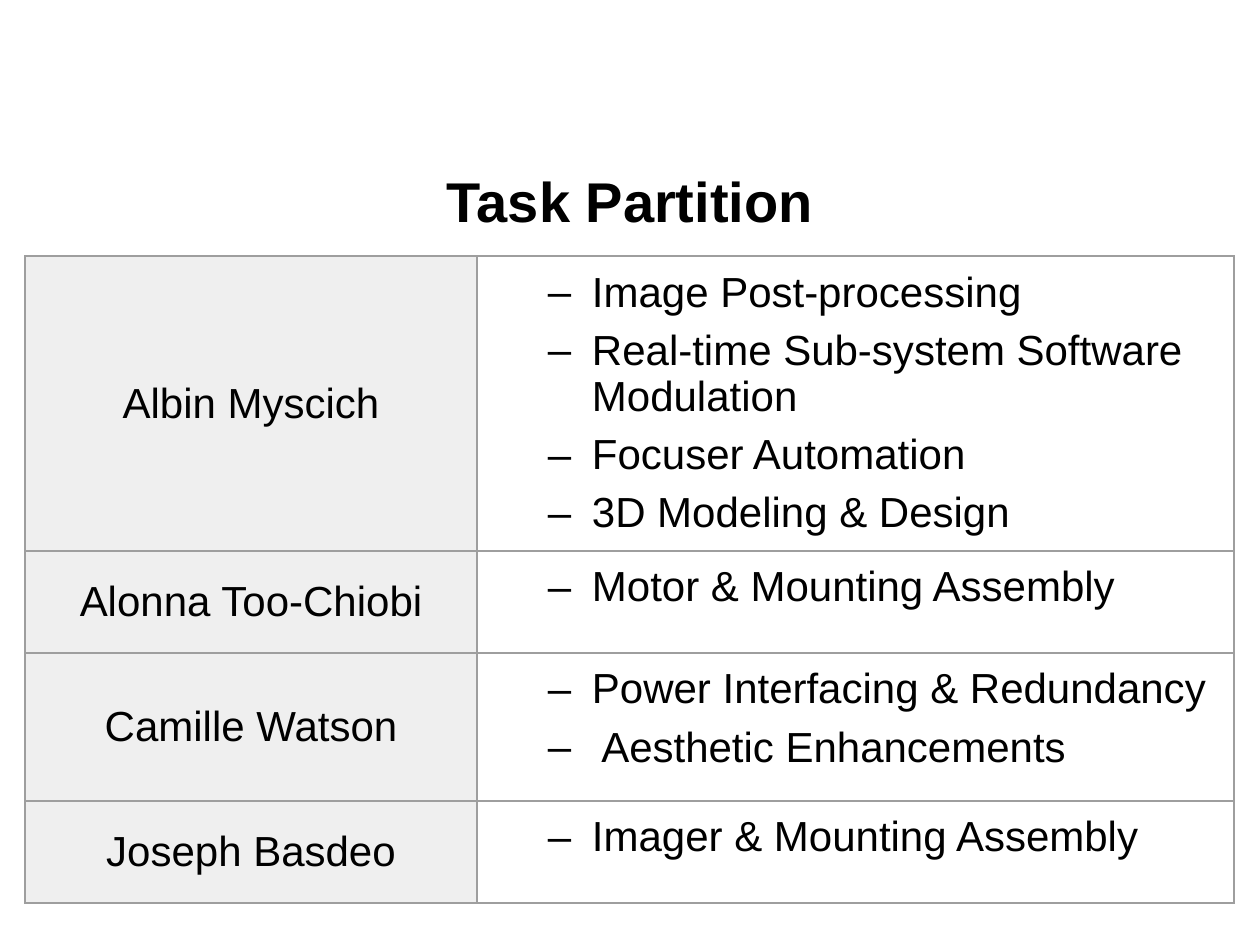
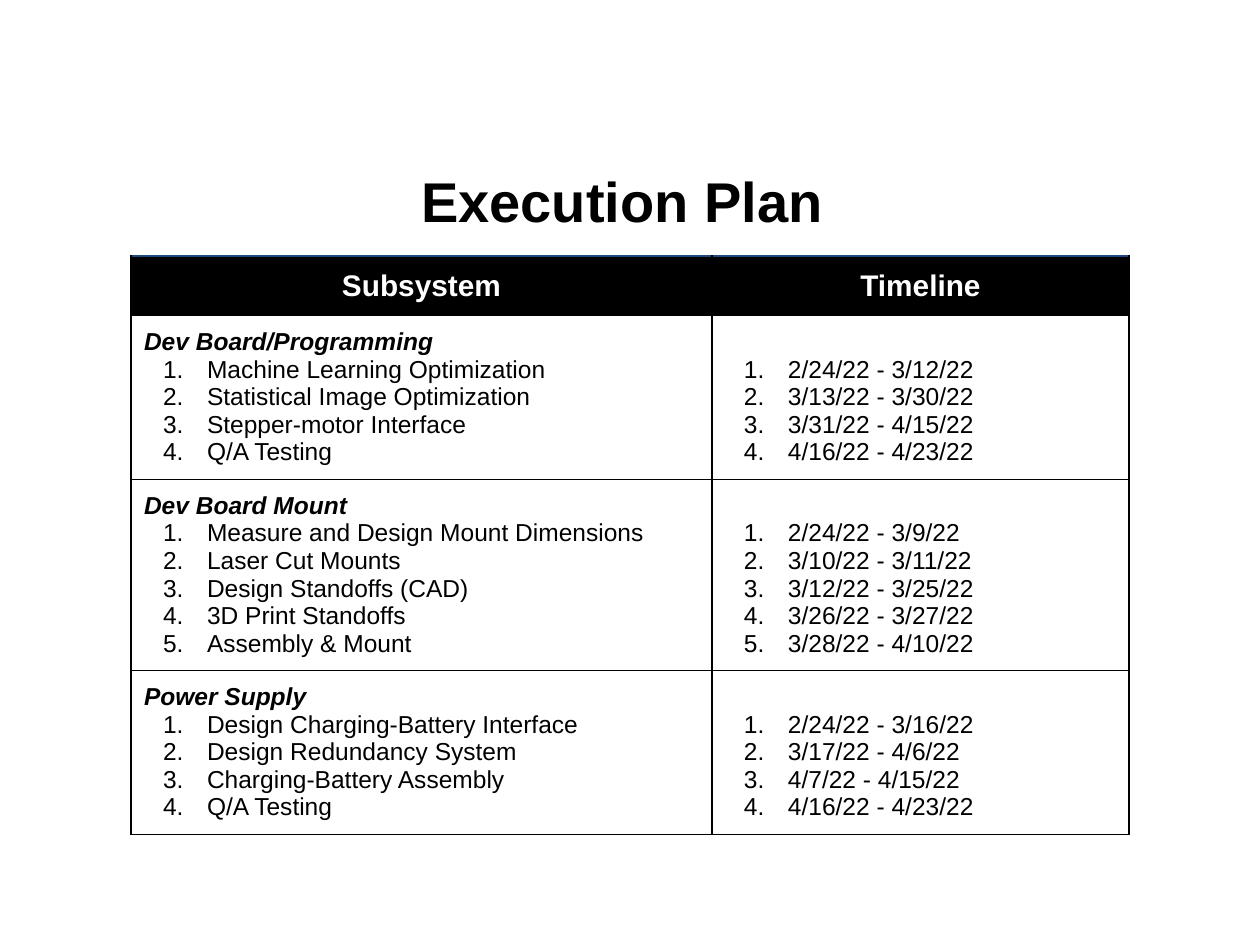
from dataclasses import dataclass

from lxml import etree
from pptx import Presentation
from pptx import util as u
from pptx.dml.color import RGBColor
from pptx.enum import text as t
from pptx.oxml.ns import qn

DPI = 126
FONT = "Arial"
INK = {"black": "000000", "white": "FFFFFF", "pale": "EFEFEF", "grey": "9E9E9E", "blue": "1F497D"}
TITLE = (63, 145, 1134, 111)
TOP = 256
PAD = 13
HANG = 44
DASH = ("buChar", "char", "–")
COUNT = ("buAutoNum", "type", "arabicPeriod")
MID = t.PP_ALIGN.CENTER


@dataclass
class Grid:
    left: int
    cols: list[int]
    rows: list[int]
    line: str


@dataclass
class Task:
    name: str
    jobs: list[str]


@dataclass
class Stage:
    name: str
    steps: list[tuple[str, str]]


TASKS = [
    Task("Albin Myscich", ["Image Post-processing", "Real-time Sub-system Software Modulation",
                           "Focuser Automation", "3D Modeling & Design"]),
    Task("Alonna Too-Chiobi", ["Motor & Mounting Assembly"]),
    Task("Camille Watson", ["Power Interfacing & Redundancy", " Aesthetic Enhancements"]),
    Task("Joseph Basdeo", ["Imager & Mounting Assembly"]),
]

STAGES = [
    Stage("Dev Board/Programming", [
        ("Machine Learning Optimization", "2/24/22 - 3/12/22"),
        ("Statistical Image Optimization", "3/13/22 - 3/30/22"),
        ("Stepper-motor Interface", "3/31/22 - 4/15/22"),
        ("Q/A Testing", "4/16/22 - 4/23/22"),
    ]),
    Stage("Dev Board Mount", [
        ("Measure and Design Mount Dimensions", "2/24/22 - 3/9/22"),
        ("Laser Cut Mounts", "3/10/22 - 3/11/22"),
        ("Design Standoffs (CAD)", "3/12/22 - 3/25/22"),
        ("3D Print Standoffs", "3/26/22 - 3/27/22"),
        ("Assembly & Mount", "3/28/22 - 4/10/22"),
    ]),
    Stage("Power Supply", [
        ("Design Charging-Battery Interface", "2/24/22 - 3/16/22"),
        ("Design Redundancy System", "3/17/22 - 4/6/22"),
        ("Charging-Battery Assembly", "4/7/22 - 4/15/22"),
        ("Q/A Testing", "4/16/22 - 4/23/22"),
    ]),
]


def px(n: int) -> int:
    return u.Emu(round(n * 914400 / DPI))


def node(up, tag: str, **attrs: str):
    return etree.SubElement(up, qn("a:" + tag), attrs)


def tint(up, hue: str) -> None:
    node(node(up, "solidFill"), "srgbClr", val=INK[hue])


def write(frame, words: str, size: int = 14, hue: str = "black", bold: bool = False,
          slant: bool = False, align=t.PP_ALIGN.LEFT, mark=None, inset: int = 63,
          level: int = 0, gap: float = 0) -> None:
    para = frame.paragraphs[0] if not frame.text else frame.add_paragraph()
    para.alignment = align
    para.level = level
    para.space_before = u.Pt(gap)
    run = para.add_run()
    run.text = words
    font = run.font
    font.name, font.size, font.bold, font.italic = FONT, u.Pt(size), bold, slant
    font.color.rgb = RGBColor.from_string(INK[hue])
    if mark:
        tag, key, val = mark
        props = para._p.get_or_add_pPr()
        props.set("marL", str(px(inset)))
        props.set("indent", str(-px(HANG)))
        node(node(props, "buClr"), "srgbClr", val=INK["black"])
        node(props, "buFont", typeface=FONT)
        node(props, tag, **{key: val})


def start(deck, head: str):
    slide = deck.slides.add_slide(deck.slide_layouts[5])
    title = slide.shapes.title
    title.left, title.top, title.width, title.height = map(px, TITLE)
    frame = title.text_frame
    frame.auto_size = t.MSO_AUTO_SIZE.NONE
    frame.vertical_anchor = t.MSO_ANCHOR.MIDDLE
    write(frame, head, size=32, bold=True, align=MID)
    return slide


def draw(slide, grid: Grid):
    table = slide.shapes.add_table(len(grid.rows), len(grid.cols), px(grid.left), px(TOP),
                                   px(sum(grid.cols)), px(sum(grid.rows))).table
    table.first_row = table.horz_banding = False
    for col, wide in zip(table.columns, grid.cols):
        col.width = px(wide)
    for row, high in zip(table.rows, grid.rows):
        row.height = px(high)
    return table


def style(cell, line: str, fill: str = "", top: str = "", anchor=t.MSO_ANCHOR.TOP):
    cell.margin_left = cell.margin_right = cell.margin_top = cell.margin_bottom = px(PAD)
    cell.vertical_anchor = anchor
    props = cell._tc.get_or_add_tcPr()
    for side in "LRTB":
        edge = node(props, "ln" + side, w=str(u.Pt(0.75)))
        tint(edge, top if top and side == "T" else line)
    if fill:
        cell.fill.solid()
        cell.fill.fore_color.rgb = RGBColor.from_string(INK[fill])
    else:
        cell.fill.background()
    return cell.text_frame


def tasks(deck) -> None:
    grid = Grid(25, [452, 757], [295, 102, 148, 102], "grey")
    table = draw(start(deck, "Task Partition"), grid)
    for row, task in enumerate(TASKS):
        name = style(table.cell(row, 0), grid.line, fill="pale", anchor=t.MSO_ANCHOR.MIDDLE)
        write(name, task.name, size=24, align=MID)
        jobs = style(table.cell(row, 1), grid.line)
        for i, job in enumerate(task.jobs):
            write(jobs, job, size=24, mark=DASH, inset=102, level=1, gap=6.4 if i else 0)


def plan(deck) -> None:
    grid = Grid(131, [581, 417], [58, 163, 190, 163], "black")
    table = draw(start(deck, "Execution Plan "), grid)
    for col, head in enumerate(["Subsystem", "Timeline"]):
        cell = style(table.cell(0, col), grid.line, fill="black", top="blue")
        write(cell, head, size=17, hue="white", bold=True, align=MID)
    for row, stage in enumerate(STAGES, 1):
        steps = style(table.cell(row, 0), grid.line)
        dates = style(table.cell(row, 1), grid.line, anchor=t.MSO_ANCHOR.BOTTOM)
        write(steps, stage.name, bold=True, slant=True)
        for step, date in stage.steps:
            write(steps, step, mark=COUNT)
            write(dates, date, mark=COUNT)


def main() -> None:
    deck = Presentation()
    deck.slide_width, deck.slide_height = px(1260), px(945)
    tasks(deck)
    plan(deck)
    deck.save("out.pptx")


if __name__ == "__main__":
    main()
